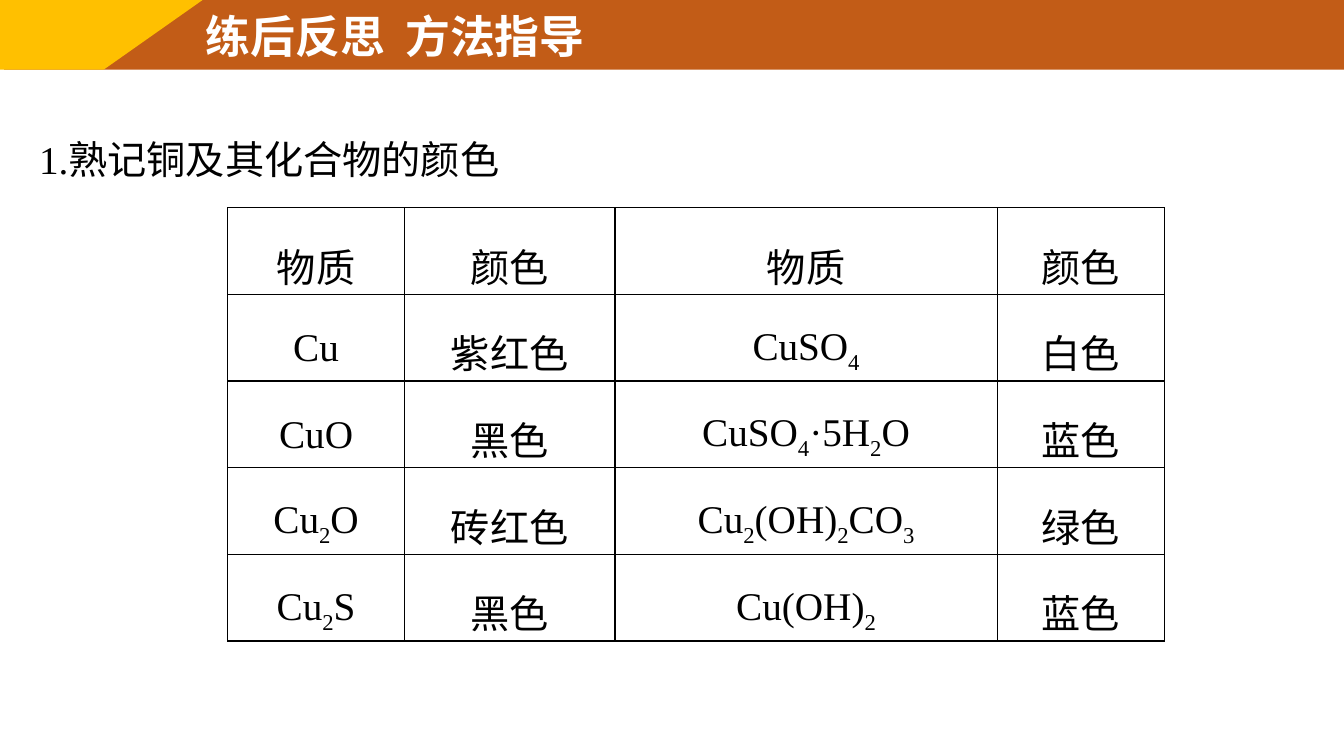
import pptx
import pptx.util
import pptx.dml.color
import pptx.enum.shapes
import pptx.enum.text
import pptx.oxml
import pptx.oxml.ns
from pptx.util import Inches

TITLE = "练后反思  方法指导"
HEADING = "1.熟记铜及其化合物的颜色"
# Text between underscores is set as a subscript.
ROWS = [
    ("物质", "颜色", "物质", "颜色"),
    ("Cu", "紫红色", "CuSO_4_", "白色"),
    ("CuO", "黑色", "CuSO_4_·5H_2_O", "蓝色"),
    ("Cu_2_O", "砖红色", "Cu_2_(OH)_2_CO_3_", "绿色"),
    ("Cu_2_S", "黑色", "Cu(OH)_2_", "蓝色"),
]
COLUMN_WIDTHS = (1.75, 2.09, 3.79, 1.66)
ROW_HEIGHT = 0.86
BAND_HEIGHT = 0.69
BLACK, WHITE, ORANGE, YELLOW = "000000", "FFFFFF", "C25C17", "FFC000"

SHAPES = pptx.enum.shapes.MSO_SHAPE
ALIGN = pptx.enum.text.PP_ALIGN
ANCHOR = pptx.enum.text.MSO_ANCHOR
FIT = pptx.enum.text.MSO_AUTO_SIZE.SHAPE_TO_FIT_TEXT


def color(value):
    return pptx.dml.color.RGBColor.from_string(value)


def style_paragraph(para, font, size, value, align, spacing=1.0, bold=False):
    para.alignment = align
    para.line_spacing = spacing
    para.font.name = font
    para.font.size = pptx.util.Pt(size)
    para.font.bold = bold
    para.font.color.rgb = color(value)


def add_banner_part(page, kind, left, width, value):
    part = page.shapes.add_shape(kind, Inches(left), 0, Inches(width), Inches(BAND_HEIGHT))
    part.shadow.inherit = False
    part.fill.solid()
    part.fill.fore_color.rgb = color(value)
    part.line.fill.background()
    return part


def write_formula(para, text):
    for index, piece in enumerate(text.split("_")):
        if piece:
            span = para.add_run()
            span.text = piece
            if index % 2:
                span.font._element.set("baseline", "-25000")


def add_borders(cell):
    """Draw a one-point black line on all four sides."""
    properties = cell._tc.get_or_add_tcPr()
    for index, side in enumerate(("lnL", "lnR", "lnT", "lnB")):
        properties.insert(index, pptx.oxml.parse_xml(
            f'<a:{side} {pptx.oxml.ns.nsdecls("a")} w="12700"><a:solidFill>'
            f'<a:srgbClr val="{BLACK}"/></a:solidFill></a:{side}>'))


def add_heading(page):
    box = page.shapes.add_textbox(Inches(0.29), Inches(1.06), Inches(12.73), Inches(0.72))
    frame = box.text_frame
    frame.word_wrap = True
    frame.auto_size = FIT
    frame.text = HEADING
    style_paragraph(frame.paragraphs[0], "Times New Roman", 28, BLACK, ALIGN.JUSTIFY, 1.5)


def add_color_table(page):
    table = page.shapes.add_table(
        len(ROWS), len(COLUMN_WIDTHS), Inches(2.26), Inches(2.06),
        Inches(sum(COLUMN_WIDTHS)), Inches(ROW_HEIGHT * len(ROWS))).table
    table.first_row = table.horz_banding = False
    for column, width in zip(table.columns, COLUMN_WIDTHS):
        column.width = Inches(width)
    for row, texts in zip(table.rows, ROWS):
        row.height = Inches(ROW_HEIGHT)
        for cell, text in zip(row.cells, texts):
            cell.fill.background()
            cell.vertical_anchor = ANCHOR.MIDDLE
            cell.margin_left = cell.margin_right = Inches(0.04)
            cell.margin_top = cell.margin_bottom = 0
            add_borders(cell)
            para = cell.text_frame.paragraphs[0]
            write_formula(para, text)
            style_paragraph(para, "Times New Roman", 28, BLACK, ALIGN.CENTER, 1.5)


def add_banner(page):
    add_banner_part(page, SHAPES.RECTANGLE, 0.04, 13.29, ORANGE)
    add_banner_part(page, SHAPES.RECTANGLE, 0, 1.03, YELLOW)
    corner = add_banner_part(page, SHAPES.RIGHT_TRIANGLE, 1.03, 0.98, YELLOW)
    corner.element.spPr.xfrm.set("flipV", "1")

    title = page.shapes.title
    title.left, title.top = Inches(1.94), Inches(0.04)
    title.width, title.height = Inches(4.06), Inches(0.64)
    frame = title.text_frame
    frame.text = TITLE
    frame.word_wrap = False
    frame.auto_size = FIT
    frame.vertical_anchor = ANCHOR.TOP
    style_paragraph(frame.paragraphs[0], "Arial", 32, WHITE, ALIGN.LEFT, bold=True)
    title.element.getparent().append(title.element)  # in front of the banner


def main():
    deck = pptx.Presentation()
    deck.slide_width, deck.slide_height = Inches(13.33), Inches(7.5)
    page = deck.slides.add_slide(deck.slide_layouts.get_by_name("Title Only"))
    page.background.fill.solid()
    page.background.fill.fore_color.rgb = color(WHITE)
    add_heading(page)
    add_color_table(page)
    add_banner(page)
    deck.save("out.pptx")


if __name__ == "__main__":
    main()
